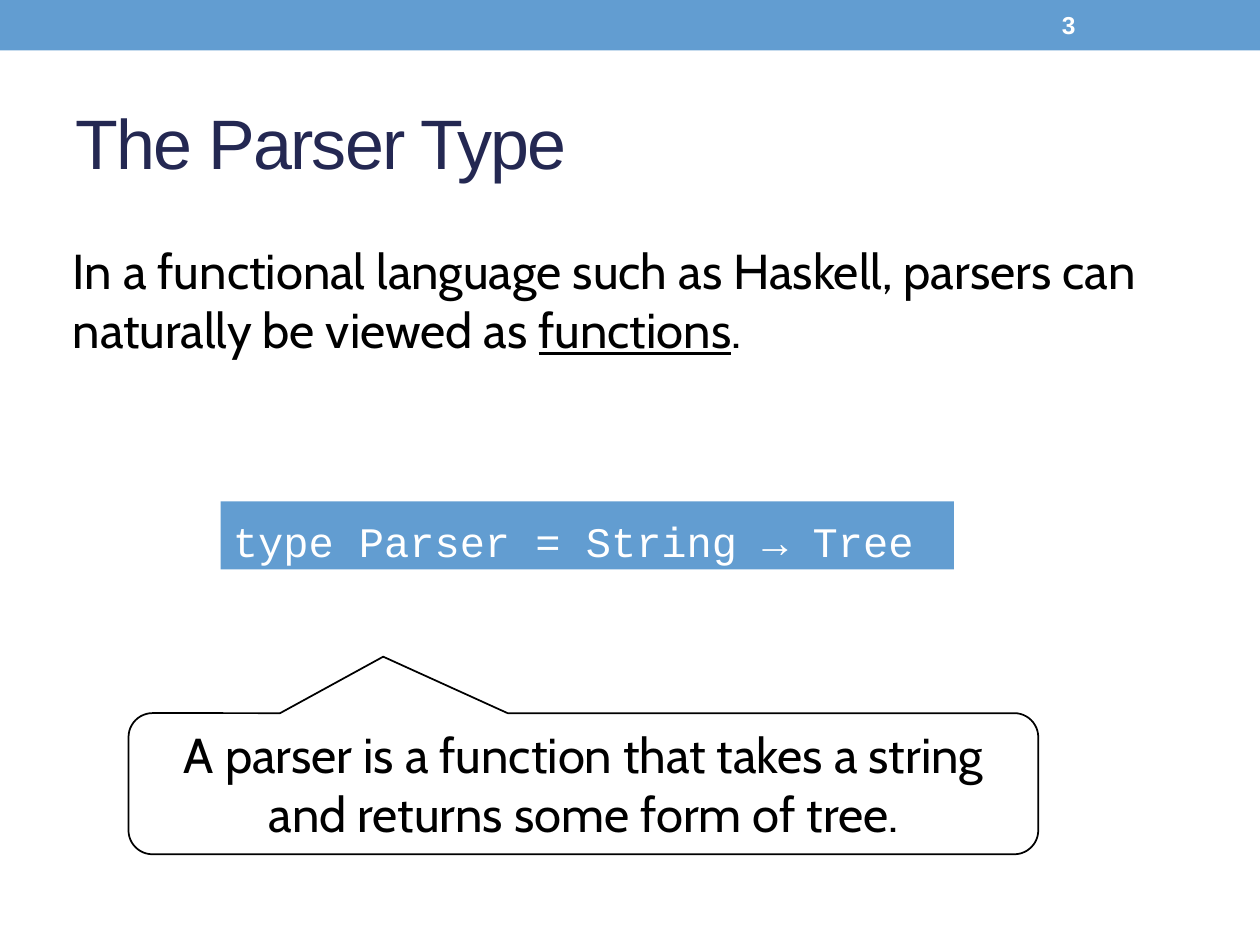
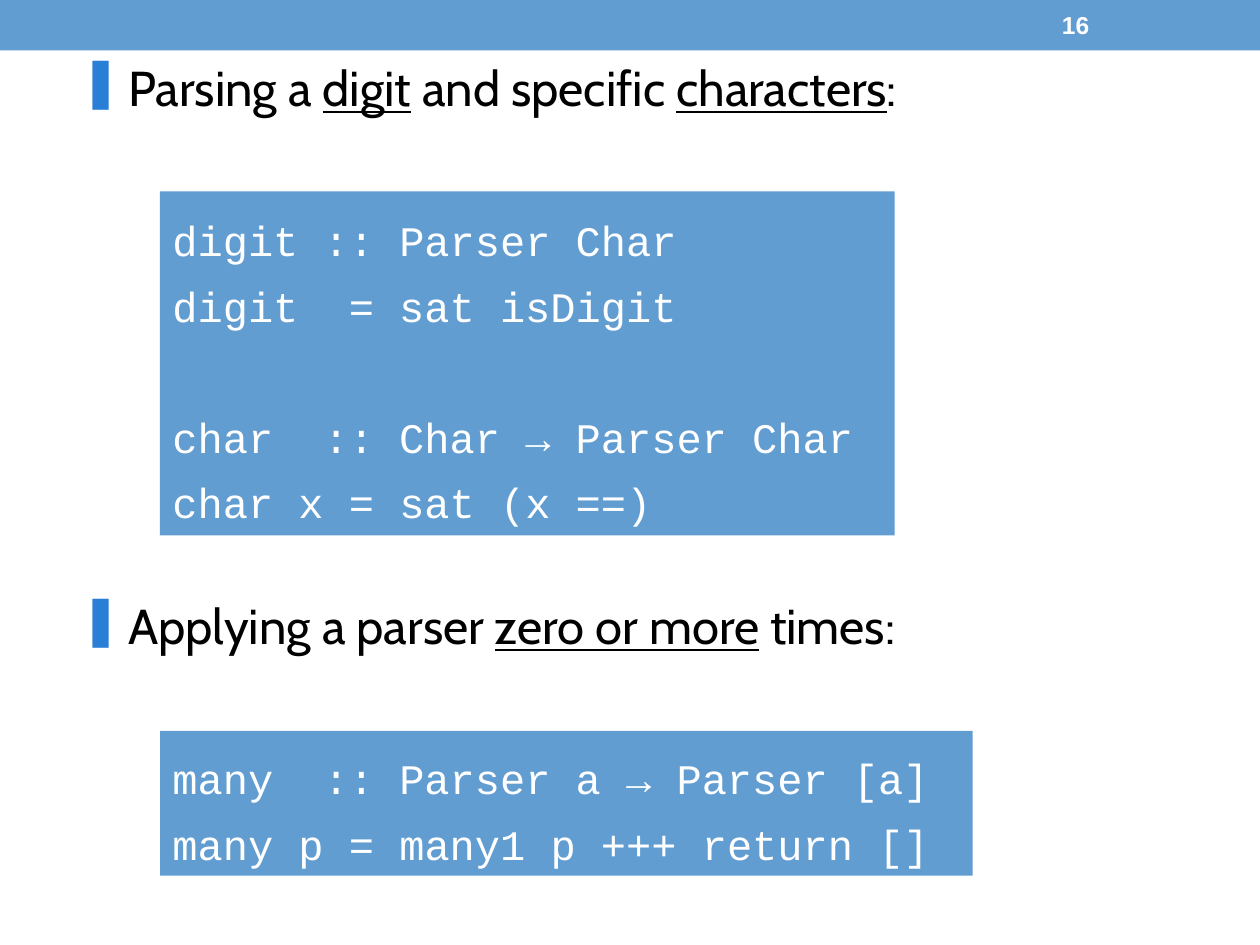
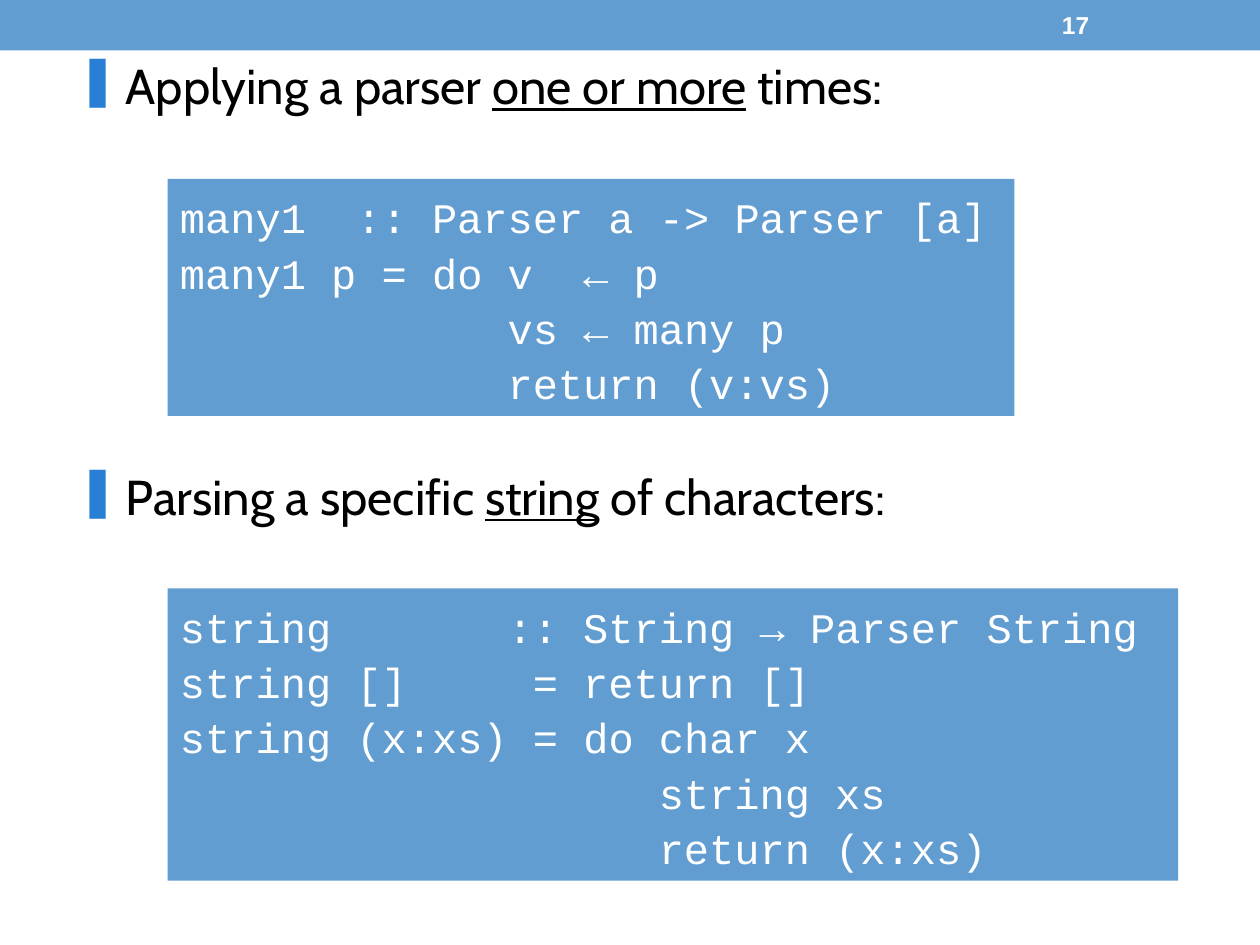
import pptx
import pptx.dml.color
import pptx.enum.shapes
import pptx.enum.text
import pptx.oxml
import pptx.oxml.ns
import pptx.util

Pt = pptx.util.Pt
RGB = pptx.dml.color.RGBColor
Shape = pptx.enum.shapes.MSO_SHAPE
Anchor = pptx.enum.text.MSO_ANCHOR
Align = pptx.enum.text.PP_ALIGN

BLUE = RGB(0x62, 0x9D, 0xD1)
MARK = RGB(0x29, 0x7F, 0xD5)
NAVY = RGB(0x24, 0x28, 0x52)
BLACK = RGB(0, 0, 0)
WHITE = RGB(255, 255, 255)

SANS, BODY, MONO = "Arial", "Cabin", "Courier New"
COLS = 100
CHAR = 2  # columns taken by one code character


class Deck:
    """The style, the file and the slide being filled; lengths are grid cells."""

    def __init__(self):
        self.file = pptx.Presentation()
        self.file.slide_width = pptx.util.Inches(10)
        self.file.slide_height = pptx.util.Inches(7.5)
        self.cell = self.file.slide_width // COLS
        self.slide = None

    def size(self, cells):
        return round(cells * self.cell)

    def page(self, num):
        """Start a slide with its top band and number."""
        self.slide = self.file.slides.add_slide(self.file.slide_layouts[6])
        self.shape((0, 0, COLS, 4), fill=BLUE)
        para = self.text((83.3, 0.2, 11.7, 3.6), str(num), 14, SANS, WHITE)
        para.font.bold = True

    def shape(self, box, kind=Shape.RECTANGLE, fill=None, line=None):
        item = self.slide.shapes.add_shape(kind, *map(self.size, box))
        item.shadow.inherit = False
        if fill is None:
            item.fill.background()
        else:
            item.fill.solid()
            item.fill.fore_color.rgb = fill
        if line is None:
            item.line.fill.background()
        else:
            item.line.color.rgb = line
            item.line.width = Pt(1)
        return item

    def put(self, para, text, size, face, color, align=Align.LEFT):
        """Fill a paragraph; parts between underscores are underlined."""
        for pos, part in enumerate(text.split("_")):
            run = para.add_run()
            run.text = part
            if pos % 2:
                run.font.underline = True
        para.alignment = align
        para.font.size = Pt(size)
        para.font.name = face
        para.font.color.rgb = color

    def text(self, box, text, size=28, face=BODY, color=BLACK, anchor=Anchor.MIDDLE):
        frame = self.slide.shapes.add_textbox(*map(self.size, box)).text_frame
        frame.word_wrap = True
        frame.vertical_anchor = anchor
        para = frame.paragraphs[0]
        self.put(para, text, size, face, color)
        return para

    def extend(self, para, *parts):
        """Add paragraph properties ahead of the font, which must stay last."""
        props = para._p.get_or_add_pPr()
        for part in parts:
            name, rest = part.split(" ", 1)
            xml = f"<a:{name} {pptx.oxml.ns.nsdecls('a')} {rest}"
            props[-1].addprevious(pptx.oxml.parse_xml(xml))
        return props

    def title(self, text):
        para = self.text((5, 5.8, 90, 10.8), text, 40, SANS, NAVY)
        self.extend(para)[-1].set("spc", "-100")

    def point(self, left, top, text):
        para = self.text((left, top, 87, 6.8), text, anchor=Anchor.TOP)
        para.space_before = Pt(5.6)
        props = self.extend(
            para,
            f'buClr ><a:srgbClr val="{MARK}"/></a:buClr>',
            'buChar char="❚"/>',
        )
        props.set("marL", str(self.size(3.8)))
        props.set("indent", str(-self.size(3.8)))

    def code(self, box, lines, space, gap=None):
        """Draw code; a line (col, text) has its tab, or else its start, at col.

        gap is the index of a line with an empty line's height above it.
        """
        frame = self.shape(box, fill=BLUE).text_frame
        frame.word_wrap = True
        frame.vertical_anchor = Anchor.MIDDLE
        for pos, line in enumerate(lines):
            col, text = line if isinstance(line, tuple) else (0, line)
            para = frame.add_paragraph() if pos else frame.paragraphs[0]
            self.put(para, text, 24, MONO, WHITE)
            para.line_spacing = space
            if pos == gap:
                para.space_before = Pt(37.4)
            stop = self.size(col * CHAR)
            if "\t" in text:
                self.extend(para, f'tabLst ><a:tab pos="{stop}" algn="l"/></a:tabLst>')
            elif col:
                props = self.extend(para)
                props.set("marL", str(stop))
                props.set("indent", "0")

    def callout(self, box, tip, text):
        item = self.shape(box, Shape.ROUNDED_RECTANGULAR_CALLOUT, line=BLACK)
        for pos, value in enumerate((*tip, 0.17)):
            item.adjustments[pos] = value
        frame = item.text_frame
        frame.word_wrap = True
        frame.vertical_anchor = Anchor.MIDDLE
        self.put(frame.paragraphs[0], text, 28, BODY, BLACK, Align.CENTER)


def main():
    deck = Deck()

    deck.page(3)
    deck.title("The Parser Type")
    deck.text(
        (4.8, 18.6, 91.2, 10.3),
        "In a functional language such as Haskell, parsers can "
        "naturally be viewed as _functions_.",
    )
    deck.code((17.5, 39.8, 58.2, 5.4), ["type Parser = String → Tree"], 1.2)
    deck.callout(
        (10.2, 56.6, 72.2, 11.2),
        (-0.22, -0.9),
        "A parser is a function that takes a string and returns some form of tree.",
    )

    deck.page(16)
    left, edge = 5.4, 12.7
    deck.code(
        (edge, 15.2, 58.3, 27.3),
        [
            "digit :: Parser Char",
            (7, "digit\t= sat isDigit"),
            (6, "char\t:: Char → Parser Char"),
            "char x = sat (x ==)",
        ],
        1.3,
        gap=2,
    )
    deck.point(left, 4.1, "Parsing a _digit_ and specific _characters_:")
    deck.point(left, 46.8, "Applying a parser _zero or more_ times:")
    deck.code(
        (edge, 58, 64.5, 11.5),
        [(6, "many\t:: Parser a → Parser [a]"), "many p = many1 p +++ return []"],
        1.3,
    )

    deck.page(17)
    left, edge = 5.2, 13.3
    deck.code(
        (edge, 14.2, 67.2, 18.8),
        [
            (7, "many1\t:: Parser a -> Parser [a]"),
            (16, "many1 p = do v\t← p"),
            (13, "vs ← many p"),
            (13, "return (v:vs)"),
        ],
        1.1,
    )
    deck.point(left, 3.9, "Applying a parser _one or more_ times:")
    deck.point(left, 36.5, "Parsing a specific _string_ of characters:")
    deck.code(
        (edge, 46.7, 80.2, 23.2),
        [
            (13, "string\t:: String → Parser String"),
            (14, "string []\t= return []"),
            "string (x:xs) = do char x",
            (19, "string xs"),
            (19, "return (x:xs)"),
        ],
        1.1,
    )

    deck.file.save("out.pptx")


if __name__ == "__main__":
    main()
